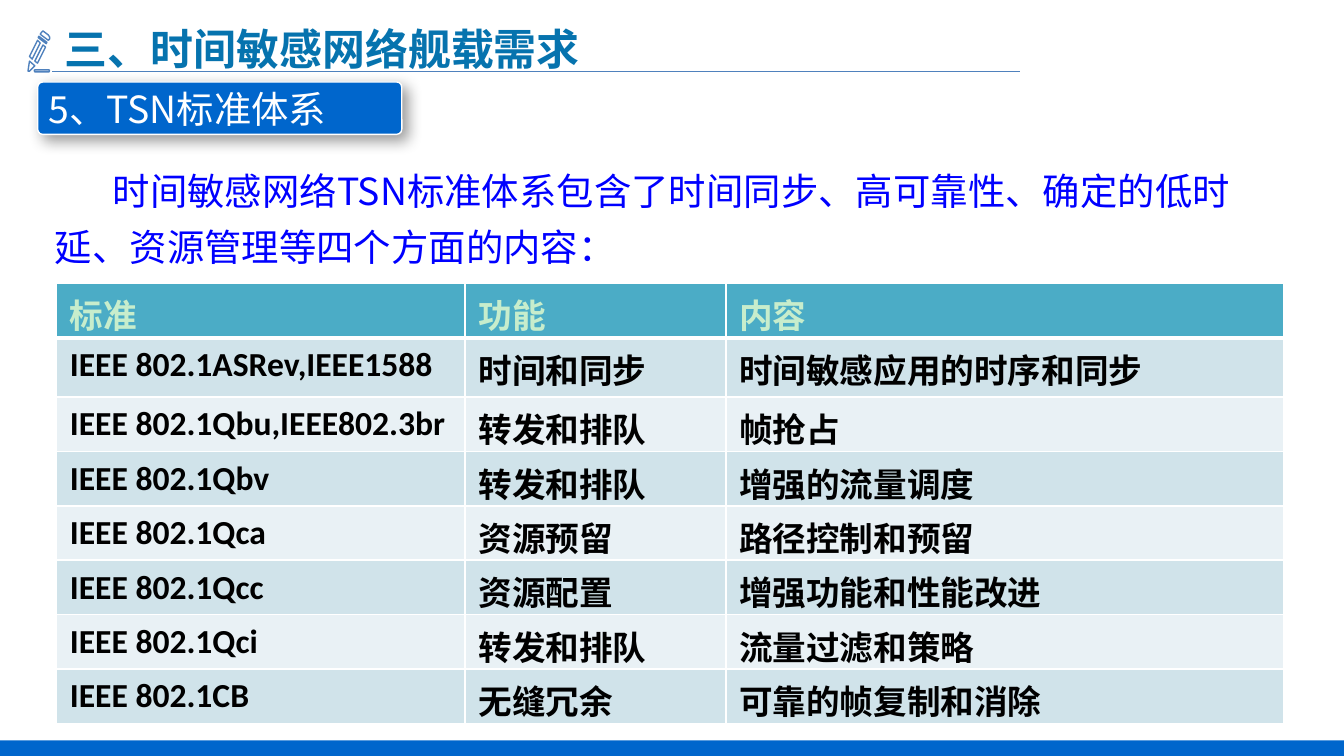
from lxml import etree
from pptx import Presentation
from pptx.dml.color import RGBColor
from pptx.enum.shapes import MSO_CONNECTOR, MSO_SHAPE
from pptx.enum.text import MSO_ANCHOR, PP_ALIGN
from pptx.oxml import parse_xml
from pptx.oxml.ns import nsdecls, qn
from pptx.util import Pt

PX = 4572
LINE = MSO_CONNECTOR.STRAIGHT
RECT, ROUNDED = MSO_SHAPE.RECTANGLE, MSO_SHAPE.ROUNDED_RECTANGLE
TOP, MIDDLE = MSO_ANCHOR.TOP, MSO_ANCHOR.MIDDLE
LEFT = PP_ALIGN.LEFT

WHITE = RGBColor(0xFF, 0xFF, 0xFF)
BLACK = RGBColor(0x00, 0x00, 0x00)
MINT = RGBColor(0xC7, 0xED, 0xCC)
ROYAL = RGBColor(0x00, 0x66, 0xCC)
TITLE_BLUE = RGBColor(0x06, 0x73, 0xAE)
BODY_BLUE = RGBColor(0x00, 0x00, 0xFF)
RULE_BLUE = RGBColor(0x4F, 0x81, 0xBD)
TEAL = RGBColor(0x4B, 0xAC, 0xC6)
BANDS = RGBColor(0xE9, 0xF1, 0xF5), RGBColor(0xD0, 0xE3, 0xEA)
ARIAL, CALIBRI, NOTO = "Arial", "Calibri", "Noto Sans CJK SC"

STANDARDS = [
    ("标准", "功能", "内容"),
    ("IEEE 802.1ASRev,IEEE1588", "时间和同步", "时间敏感应用的时序和同步"),
    ("IEEE 802.1Qbu,IEEE802.3br", "转发和排队", "帧抢占"),
    ("IEEE 802.1Qbv", "转发和排队", "增强的流量调度"),
    ("IEEE 802.1Qca", "资源预留", "路径控制和预留"),
    ("IEEE 802.1Qcc", "资源配置", "增强功能和性能改进"),
    ("IEEE 802.1Qci", "转发和排队", "流量过滤和策略"),
    ("IEEE 802.1CB", "无缝冗余", "可靠的帧复制和消除"),
]
PENCIL = [
    [(52, 104), (73, 104), (74, 105), (73, 107), (52, 107), (51, 105)],
    [(52, 91), (64, 67), (68, 70), (56, 94)],
    [(44, 84), (56, 60), (60, 64), (48, 88)],
    [(42, 104), (44, 91), (52, 98), (44, 106), (42, 106)],
    [(58, 54), (57, 56), (69, 65), (70, 63)],
    [(62, 48), (64, 46), (72, 52), (74, 55), (74, 58), (72, 60), (60, 51)],
]


def write(frame, text, size=18, font=ARIAL, color=BLACK, bold=False,
          east=None, indent=0, spacing=None):
    """Put one formatted paragraph into a text frame."""
    para = frame.paragraphs[0]
    para.alignment = LEFT
    if spacing:
        para.line_spacing = spacing
    if indent:
        para._p.get_or_add_pPr().set("indent", str(indent * PX))
    span = para.add_run()
    span.text = text
    span.font.size, span.font.name, span.font.bold = Pt(size), font, bold
    span.font.color.rgb = color
    if east:
        etree.SubElement(span._r.get_or_add_rPr(), qn("a:ea"), typeface=east)


class SlidePainter:
    """Holds the style and the current page, and draws each kind of element."""

    def __init__(self, page):
        self.page = page
        self.shapes = page.shapes

    def background(self, color):
        fill = self.page.background.fill
        fill.solid()
        fill.fore_color.rgb = color

    def paint(self, shape, fill, line=None):
        shape.shadow.inherit = False
        shape.fill.solid()
        shape.fill.fore_color.rgb = fill
        if line is None:
            shape.line.fill.background()
        else:
            shape.line.color.rgb = line
            shape.line.width = Pt(0.75)

    def box(self, kind, place, fill, line=None):
        shape = self.shapes.add_shape(kind, *(n * PX for n in place))
        self.paint(shape, fill, line)
        return shape

    def badge(self, place, text, **style):
        shape = self.box(ROUNDED, place, ROYAL, WHITE)
        shape.adjustments[0] = 0.1
        effects = shape._element.spPr.find(qn("a:effectLst"))
        effects.append(parse_xml(
            f'<a:outerShdw {nsdecls("a")} blurRad="{Pt(8)}" dist="{Pt(4)}" '
            'dir="2700000" algn="tl" rotWithShape="0"><a:srgbClr val="000000">'
            '<a:alpha val="40000"/></a:srgbClr></a:outerShdw>'))
        self.pad(shape.text_frame, 14, 8)
        shape.text_frame.vertical_anchor = MIDDLE
        write(shape.text_frame, text, **style)

    def pad(self, frame, across, down):
        frame.margin_left = frame.margin_right = across * PX
        frame.margin_top = frame.margin_bottom = down * PX

    def text(self, place, text, across=20, down=10, wrap=True, **style):
        frame = self.shapes.add_textbox(*(n * PX for n in place)).text_frame
        frame.word_wrap = wrap
        frame.vertical_anchor = TOP
        self.pad(frame, across, down)
        write(frame, text, **style)

    def rule(self, left, right, top):
        line = self.shapes.add_connector(
            LINE, left * PX, top * PX, right * PX, top * PX)
        line.line.color.rgb = RULE_BLUE
        line.line.width = Pt(0.75)
        etree.SubElement(line._element.spPr, qn("a:effectLst"))

    def outline(self, contours, fill, line):
        first, *others = contours
        builder = self.shapes.build_freeform(*first[0], scale=PX)
        builder.add_line_segments(first[1:], close=True)
        for contour in others:
            builder.move_to(*contour[0])
            builder.add_line_segments(contour[1:], close=True)
        self.paint(builder.convert_to_shape(), fill, line)

    def borders(self, cell, bottom):
        props = cell._tc.get_or_add_tcPr()
        widths = {"lnL": 1, "lnR": 1, "lnT": 1, "lnB": bottom}
        for position, (side, width) in enumerate(widths.items()):
            props.insert(position, parse_xml(
                f'<a:{side} {nsdecls("a")} w="{Pt(width)}"><a:solidFill>'
                f'<a:srgbClr val="{WHITE}"/></a:solidFill></a:{side}>'))

    def table(self, place, widths, heights, rows):
        grid = self.shapes.add_table(
            len(rows), len(widths), *(n * PX for n in place)).table
        for column, width in zip(grid.columns, widths):
            column.width = width * PX
        for row, height in zip(grid.rows, heights):
            row.height = height * PX
        for index, texts in enumerate(rows):
            header = index == 0
            for column, text in enumerate(texts):
                cell = grid.cell(index, column)
                cell.fill.solid()
                cell.fill.fore_color.rgb = TEAL if header else BANDS[index % 2]
                self.borders(cell, bottom=3 if header else 1)
                write(cell.text_frame, text, bold=True,
                      font=ARIAL if header else CALIBRI,
                      color=MINT if header else BLACK)


def main():
    deck = Presentation()
    deck.slide_width, deck.slide_height = 2000 * PX, 1125 * PX
    page = deck.slides.add_slide(deck.slide_layouts[6])
    painter = SlidePainter(page)
    painter.background(WHITE)
    painter.box(RECT, (0, 1102, 2000, 23), ROYAL)
    painter.text((82, 26, 802, 92), "三、时间敏感网络舰载需求", across=14,
                 down=8, wrap=False, size=23, color=TITLE_BLUE, bold=True)
    painter.outline(PENCIL, WHITE, RULE_BLUE)
    painter.rule(78, 1518, 106)
    painter.badge((56, 122, 542, 78), "5、TSN标准体系",
                  size=20, font=NOTO, east=NOTO, color=WHITE)
    painter.text((62, 224, 1804, 188),
                 "时间敏感网络TSN标准体系包含了时间同步、高可靠性、"
                 "确定的低时延、资源管理等四个方面的内容：",
                 size=20, font=NOTO, east=NOTO, color=BODY_BLUE,
                 indent=86, spacing=1.25)
    painter.table((84, 421, 1826, 655), (608, 388, 830),
                  [82, 88] + [81] * 6, STANDARDS)
    deck.save("out.pptx")


if __name__ == "__main__":
    main()
